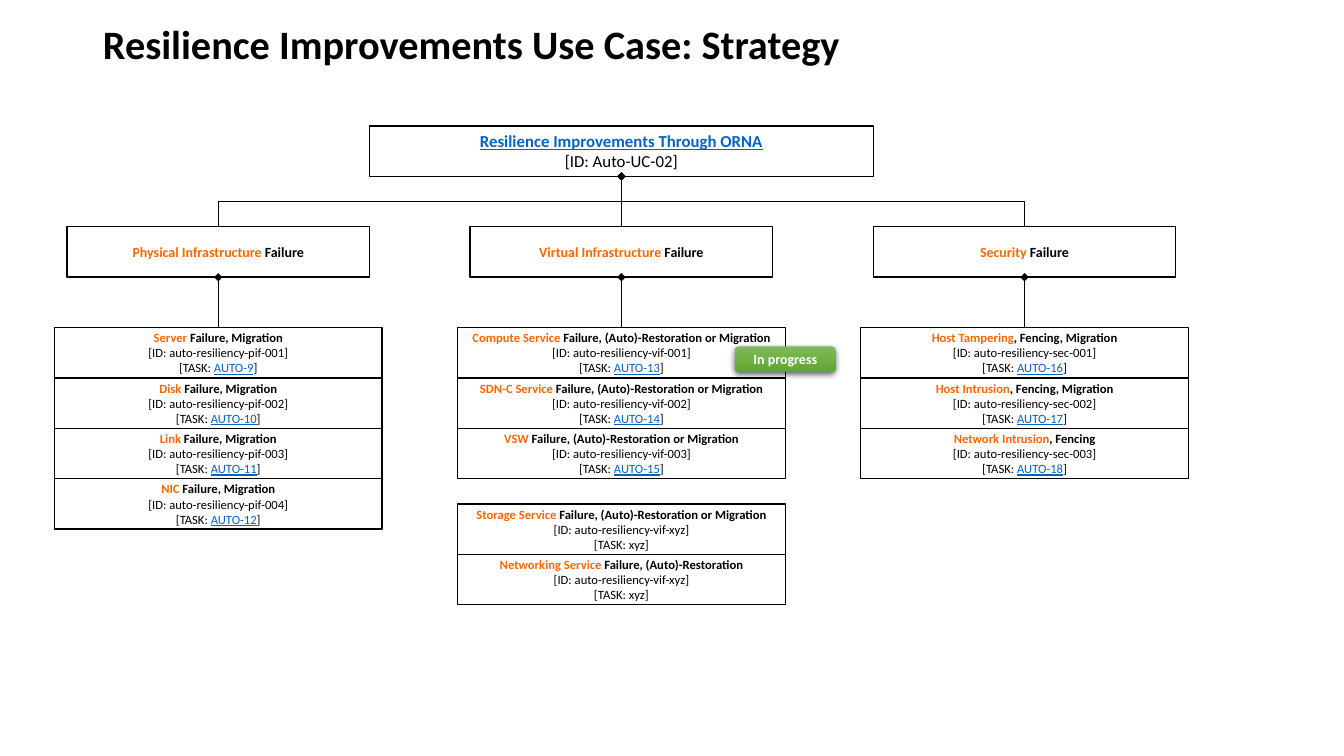
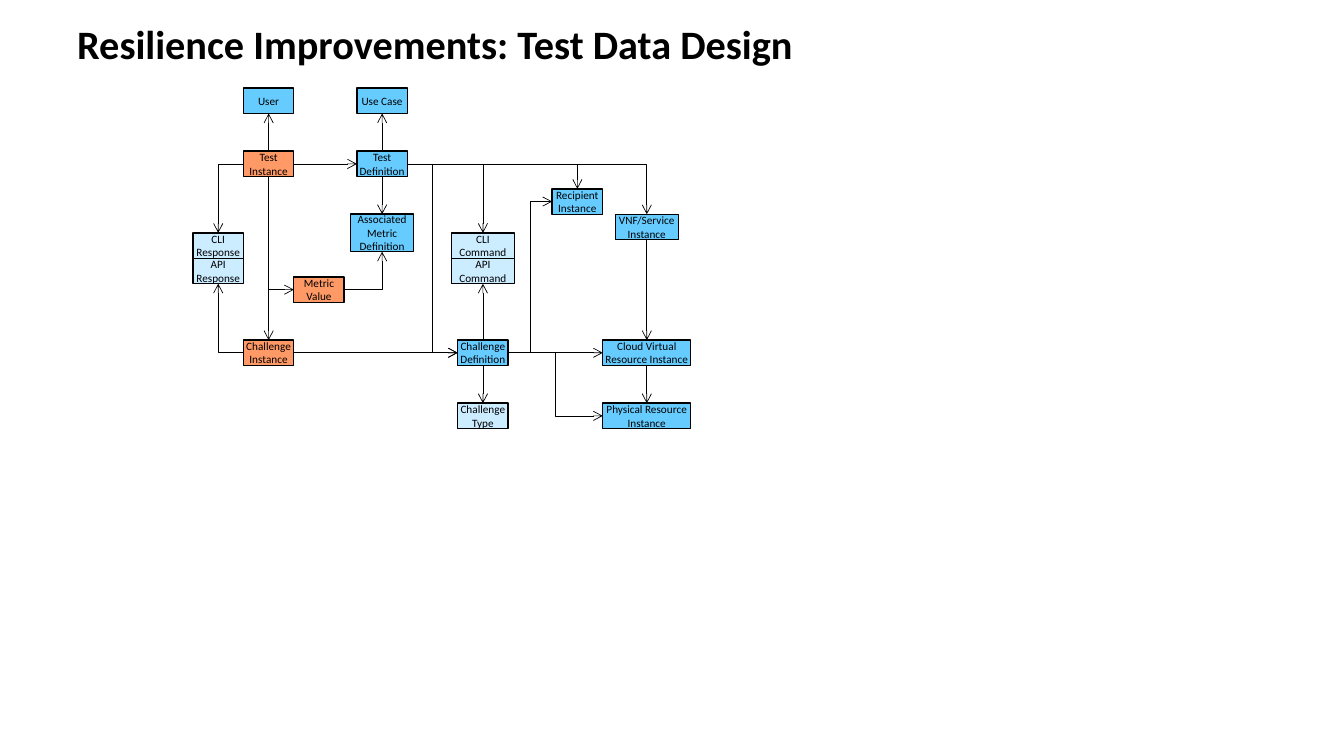
from copy import deepcopy

from lxml.etree import SubElement
from pptx import Presentation
from pptx.dml.color import RGBColor
from pptx.enum.shapes import MSO_CONNECTOR, MSO_SHAPE
from pptx.enum.text import MSO_ANCHOR, MSO_AUTO_SIZE, PP_ALIGN
from pptx.oxml.ns import qn
from pptx.util import Cm, Pt

FONT = "Calibri"
COLORS = {
    "black": "000000", "white": "FFFFFF", "orange": "FF6600", "link": "0563C1",
    "blue": "66CCFF", "pale": "CCECFF", "salmon": "FF9966",
}
BADGE_GRADIENT = ((0, "81B861"), (0.5, "6FB242"), (1, "62A336"))

# Strategy: group name, word after it, ID prefix, cases (row, key, rest, number, ticket)
RESTORE = "Failure, (Auto)-Restoration or Migration"
GROUPS = [
    ("Physical Infrastructure", "pif", [
        (0, "Server", " Failure, Migration", "001", "AUTO-9"),
        (1, "Disk", " Failure, Migration", "002", "AUTO-10"),
        (2, "Link", " Failure, Migration", "003", "AUTO-11"),
        (3, "NIC", " Failure, Migration", "004", "AUTO-12"),
    ]),
    ("Virtual Infrastructure", "vif", [
        (0, "Compute Service", " " + RESTORE, "001", "AUTO-13"),
        (1, "SDN-C Service", " " + RESTORE, "002", "AUTO-14"),
        (2, "VSW", " " + RESTORE, "003", "AUTO-15"),
        (3.5, "Storage Service", " " + RESTORE, "xyz", None),
        (4.5, "Networking Service", " Failure, (Auto)-Restoration", "xyz", None),
    ]),
    ("Security", "sec", [
        (0, "Host Tampering", ", Fencing, Migration", "001", "AUTO-16"),
        (1, "Host Intrusion", ", Fencing, Migration", "002", "AUTO-17"),
        (2, "Network Intrusion", ", Fencing", "003", "AUTO-18"),
    ]),
]
FIRST_CENTER, GROUP_PITCH, ROW = 5.5, 10.16, 1.27
ROOT_Y, GROUP_Y, CASE_Y = 3.81, 6.35, 8.89

# Test data: centre x, centre y, width, height in cm
NARROW, MEDIUM, WIDE, LOW, TALL = 1.27, 1.59, 2.22, 0.64, 0.95
ENTITIES = {
    "User": ("blue", 6.77, 2.54, NARROW, LOW),
    "Use Case": ("blue", 9.63, 2.54, NARROW, LOW),
    "Test Instance": ("salmon", 6.77, 4.13, NARROW, LOW),
    "Test Definition": ("blue", 9.63, 4.13, NARROW, LOW),
    "Recipient Instance": ("blue", 14.55, 5.08, NARROW, LOW),
    "VNF/Service Instance": ("blue", 16.3, 5.72, MEDIUM, LOW),
    "Associated Metric Definition": ("blue", 9.63, 5.87, MEDIUM, TALL),
    "CLI Response": ("pale", 5.5, 6.19, NARROW, LOW),
    "API Response": ("pale", 5.5, 6.83, NARROW, LOW),
    "CLI Command": ("pale", 12.17, 6.19, MEDIUM, LOW),
    "API Command": ("pale", 12.17, 6.83, MEDIUM, LOW),
    "Metric Value": ("salmon", 8.04, 7.3, NARROW, LOW),
    "Challenge Instance": ("salmon", 6.77, 8.89, NARROW, LOW),
    "Challenge Definition": ("blue", 12.17, 8.89, NARROW, LOW),
    "Cloud Virtual Resource Instance": ("blue", 16.3, 8.89, WIDE, LOW),
    "Challenge Type": ("pale", 12.17, 10.48, NARROW, LOW),
    "Physical Resource Instance": ("blue", 16.3, 10.48, WIDE, LOW),
}
RELATIONS = [
    ("Test Instance", "top", "User", "bottom"),
    ("Test Instance", "right", "Test Definition", "left"),
    ("Test Instance", "left", "CLI Response", "top"),
    ("Test Instance", "bottom", "Challenge Instance", "top"),
    ("Test Instance", "bottom", "Metric Value", "left"),
    ("Metric Value", "right", "Associated Metric Definition", "bottom"),
    ("Test Definition", "top", "Use Case", "bottom"),
    ("Test Definition", "bottom", "Associated Metric Definition", "top"),
    ("Test Definition", "right", "Challenge Definition", "left"),
    ("Test Definition", "right", "CLI Command", "top"),
    ("Test Definition", "right", "Recipient Instance", "top"),
    ("Test Definition", "right", "VNF/Service Instance", "top"),
    ("Challenge Instance", "left", "API Response", "bottom"),
    ("Challenge Instance", "right", "Challenge Definition", "left"),
    ("Challenge Definition", "top", "API Command", "bottom"),
    ("Challenge Definition", "bottom", "Challenge Type", "top"),
    ("Challenge Definition", "right", "Recipient Instance", "left"),
    ("Challenge Definition", "right", "Cloud Virtual Resource Instance", "left"),
    ("Challenge Definition", "right", "Physical Resource Instance", "left"),
    ("VNF/Service Instance", "bottom", "Cloud Virtual Resource Instance", "top"),
    ("Cloud Virtual Resource Instance", "bottom", "Physical Resource Instance", "top"),
]
SITES = {"top": 0, "left": 1, "bottom": 2, "right": 3}


def rgb(name):
    """Return the colour with this name."""
    return RGBColor.from_string(COLORS[name])


def add_titled_slide(prs, title, left):
    """Add a title-only slide with its title starting at left."""
    s = prs.slides.add_slide(prs.slide_layouts[5])
    sp = s.shapes.title
    sp.left, sp.top, sp.width, sp.height = Cm(left), Cm(0.48), Cm(29.21), Cm(1.4)
    tf = sp.text_frame
    tf.text = title
    tf.word_wrap, tf.auto_size = True, MSO_AUTO_SIZE.NONE
    tf.vertical_anchor = MSO_ANCHOR.MIDDLE
    p = tf.paragraphs[0]
    p.alignment, p.line_spacing = PP_ALIGN.LEFT, 0.9
    p.font.name, p.font.size, p.font.bold = FONT, Pt(28.8), True
    p.font.color.rgb = rgb("black")
    return s


def add_box(s, x, y, w, h, lines, size, fill="white", inset=None, preset=MSO_SHAPE.RECTANGLE):
    """Add a box centred on x, y; each line is a list of (text, colour, bold) runs."""
    sp = s.shapes.add_shape(preset, Cm(x - w / 2), Cm(y - h / 2), Cm(w), Cm(h))
    sp.shadow.inherit = False
    sp.fill.solid()
    sp.fill.fore_color.rgb = rgb(fill)
    sp.line.color.rgb, sp.line.width = rgb("black"), Pt(1)
    tf = sp.text_frame
    tf.word_wrap, tf.vertical_anchor = True, MSO_ANCHOR.MIDDLE
    if inset is not None:
        tf.margin_left = tf.margin_right = tf.margin_top = tf.margin_bottom = Cm(inset)
    for i, runs in enumerate(lines):
        p = tf.add_paragraph() if i else tf.paragraphs[0]
        p.alignment = PP_ALIGN.CENTER
        p.font.name, p.font.size = FONT, Pt(size)
        for text, color, bold in runs:
            r = p.add_run()
            r.text = text
            r.font.bold, r.font.color.rgb = bold, rgb(color)
            if color == "link":
                r.font.underline = True
    return sp


def connect(s, a, a_side, b, b_side, head=None, tail=None):
    """Join two boxes, straight when their sides line up and bent otherwise."""
    c = s.shapes.add_connector(MSO_CONNECTOR.STRAIGHT, 0, 0, 0, 0)
    c.begin_connect(a, SITES[a_side])
    c.end_connect(b, SITES[b_side])
    spPr = c._element.spPr
    dx, dy = c.end_x - c.begin_x, c.end_y - c.begin_y
    if min(abs(dx), abs(dy)) > Cm(0.05):
        parallel = SITES[a_side] % 2 == SITES[b_side] % 2
        spPr.prstGeom.set("prst", "bentConnector3" if parallel else "bentConnector2")
        if a_side in ("top", "bottom"):
            turn_upright(c, dx, dy)
    c.line.color.rgb, c.line.width = rgb("black"), Pt(0.5)
    ln = spPr.find(qn("a:ln"))
    for tag, kind in (("a:headEnd", head), ("a:tailEnd", tail)):
        if kind:
            SubElement(ln, qn(tag), type=kind)
    SubElement(spPr, qn("a:effectLst"))


def turn_upright(c, dx, dy):
    """Rotate a bent connector so that it leaves its first box vertically."""
    x, y = c.begin_x + dx / 2, c.begin_y + dy / 2
    w, h = abs(dy), abs(dx)
    c.left, c.top, c.width, c.height = int(x - w / 2), int(y - h / 2), w, h
    xfrm = c._element.spPr.xfrm
    xfrm.rot = 90 if dy > 0 else 270
    xfrm.flipH, xfrm.flipV = False, (dx > 0) == (dy > 0)


def add_badge(s, x, y, text):
    """Add the green status badge with its gradient and soft shadow."""
    sp = add_box(s, x, y, 2.54, 0.64, [[(text, "white", True)]], 10,
                 preset=MSO_SHAPE.ROUNDED_RECTANGLE)
    sp.line.fill.background()
    sp.fill.gradient()
    sp.fill.gradient_angle = 270
    spPr = sp._element.spPr
    stops = spPr.find(qn("a:gradFill")).find(qn("a:gsLst"))
    stops.insert(1, deepcopy(stops[0]))
    for stop, (position, color) in zip(sp.fill.gradient_stops, BADGE_GRADIENT):
        stop.position, stop.color.rgb = position, RGBColor.from_string(color)
    shadow = SubElement(spPr.find(qn("a:effectLst")), qn("a:outerShdw"), blurRad=str(Pt(4.5)),
                        dist=str(Pt(1.5)), dir="5400000", algn="ctr", rotWithShape="0")
    color = SubElement(shadow, qn("a:srgbClr"), val=COLORS["black"])
    SubElement(color, qn("a:alpha"), val="63000")


def case_lines(prefix, key, rest, number, ticket):
    """Return the three text lines of a failure case."""
    if ticket:
        task = [("[TASK: ", "black", False), (ticket, "link", False), ("]", "black", False)]
    else:
        task = [("[TASK: xyz]", "black", False)]
    return [
        [(key, "orange", True), (rest, "black", True)],
        [(f"[ID: auto-resiliency-{prefix}-{number}]", "black", False)],
        task,
    ]


def build_strategy(prs):
    """Build the tree of failure groups and cases."""
    s = add_titled_slide(prs, "Resilience Improvements Use Case: Strategy", 2.34)
    root = add_box(s, FIRST_CENTER + GROUP_PITCH, ROOT_Y, 12.7, ROW, [
        [("Resilience Improvements Through ORNA", "link", True)],
        [("[ID: Auto-UC-02]", "black", False)],
    ], 12)
    for i, (name, prefix, cases) in enumerate(GROUPS):
        x = FIRST_CENTER + i * GROUP_PITCH
        group = add_box(s, x, GROUP_Y, 7.62, ROW,
                        [[(name, "orange", True), (" Failure", "black", True)]], 10)
        boxes = [add_box(s, x, CASE_Y + row * ROW, 8.26, ROW, case_lines(prefix, *case), 9)
                 for row, *case in cases]
        connect(s, root, "bottom", group, "top", head="diamond")
        connect(s, group, "bottom", boxes[0], "top", head="diamond")
    add_badge(s, 19.79, 9.05, "In progress")


def build_test_data(prs):
    """Build the entity diagram of the test data."""
    s = add_titled_slide(prs, "Resilience Improvements: Test Data Design", 1.69)
    boxes = {name: add_box(s, x, y, w, h, [[(name, "black", False)]], 8, fill, 0.05)
             for name, (fill, x, y, w, h) in ENTITIES.items()}
    for source, source_side, target, target_side in RELATIONS:
        connect(s, boxes[source], source_side, boxes[target], target_side, tail="arrow")


prs = Presentation()
prs.slide_width, prs.slide_height = Cm(33.87), Cm(19.05)
build_strategy(prs)
build_test_data(prs)
prs.save("out.pptx")
